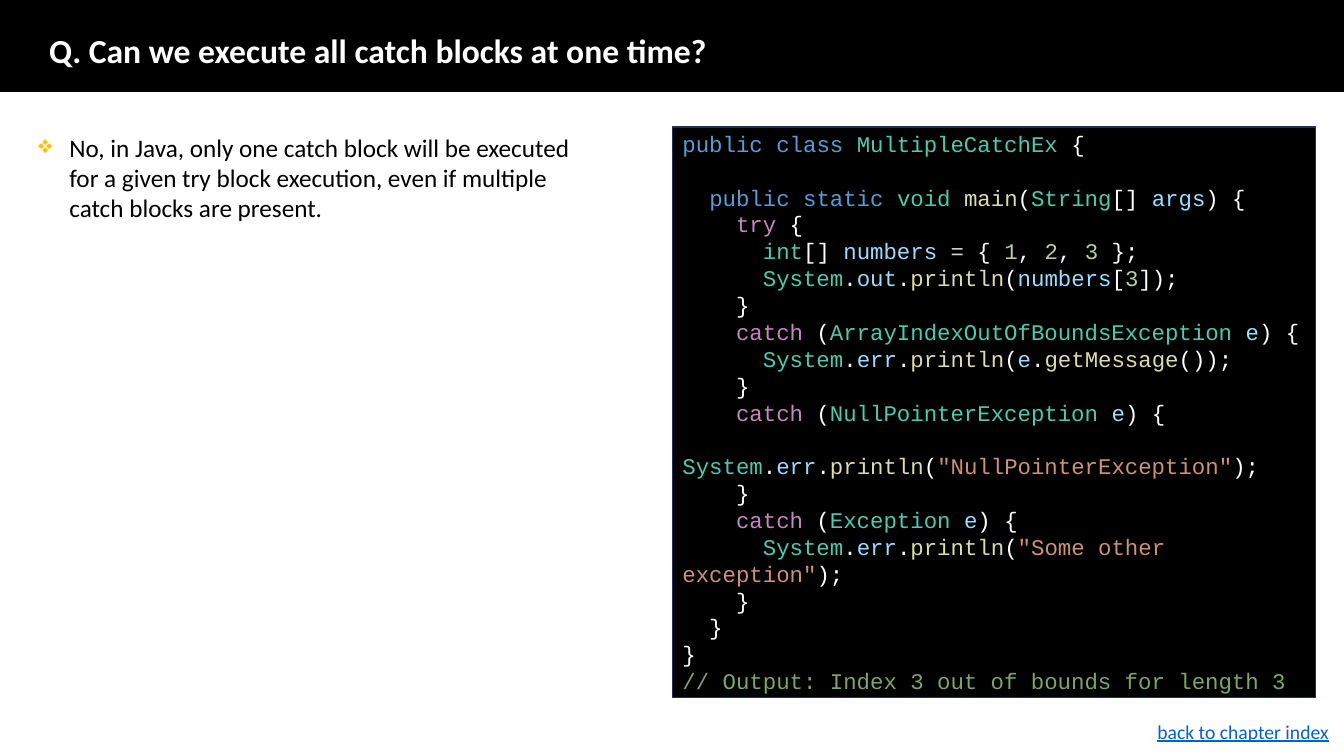
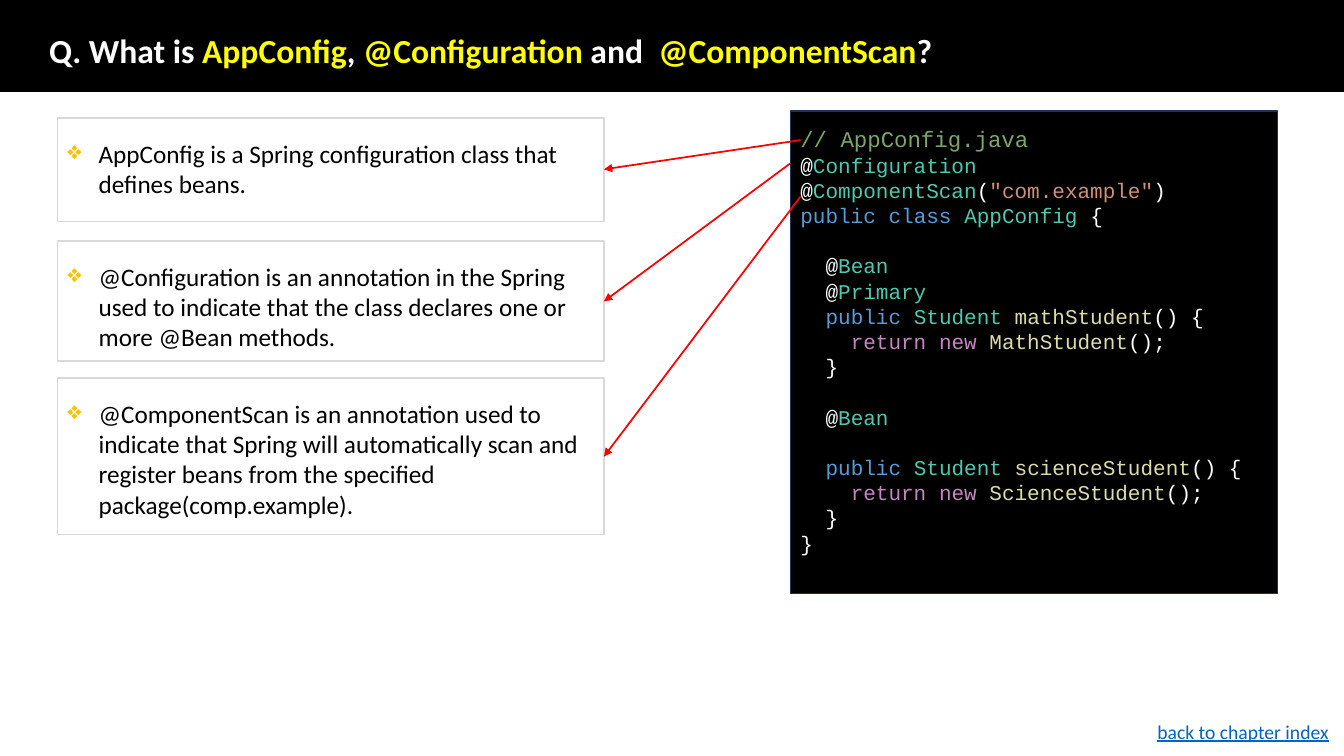
"""Build two Java question slides with notes and coloured code."""
from itertools import groupby

from lxml import etree
from pptx import Presentation
from pptx.dml.color import RGBColor
from pptx.enum.shapes import MSO_CONNECTOR, MSO_SHAPE
from pptx.enum.text import MSO_ANCHOR, PP_ALIGN
from pptx.oxml.ns import qn
from pptx.util import Inches, Pt

RECT = MSO_SHAPE.RECTANGLE
STRAIGHT = MSO_CONNECTOR.STRAIGHT
TOP, MIDDLE = MSO_ANCHOR.TOP, MSO_ANCHOR.MIDDLE
LEFT = PP_ALIGN.LEFT

COLORS = {
    "black": "000000", "white": "FFFFFF", "yellow": "FFFF00", "link": "0563C1",
    "bullet": "FFC000", "border": "D9D9D9", "code_border": "1E3256", "arrow": "FF0000",
    "modifier": "569CD6", "type": "4EC9B0", "control": "C586C0", "function": "DCDCAA",
    "variable": "9CDCFE", "number": "B5CEA8", "operator": "D4D4D4",
    "string": "CE9178", "comment": "7CA668",
}
WORDS = {
    "modifier": "public static class",
    "type": "MultipleCatchEx void String int System ArrayIndexOutOfBoundsException "
            "NullPointerException Exception Configuration ComponentScan AppConfig "
            "Bean Primary Student",
    "control": "try catch return new",
    "function": "main println getMessage mathStudent MathStudent scienceStudent "
                "ScienceStudent",
    "variable": "args numbers out err e",
    "number": "1 2 3",
    "operator": "=",
}
WORD_COLORS = {w: color for color, words in WORDS.items() for w in words.split()}

TITLE = {"name": "Calibri", "size": Pt(24), "bold": True}
BODY = {"name": "Calibri", "size": Pt(18)}
FOOTER = {"name": "Calibri", "size": Pt(14), "underline": True}

CATCH_CODE = """\
public class MultipleCatchEx {

  public static void main(String[] args) {
    try {
      int[] numbers = { 1, 2, 3 };
      System.out.println(numbers[3]);
    }
    catch (ArrayIndexOutOfBoundsException e) {
      System.err.println(e.getMessage());
    }
    catch (NullPointerException e) {
      System.err.println("NullPointerException");
    }
    catch (Exception e) {
      System.err.println("Some other exception");
    }
  }
}
// Output: Index 3 out of bounds for length 3"""

CONFIG_CODE = """\
// AppConfig.java
@Configuration
@ComponentScan("com.example")
public class AppConfig {

  @Bean
  @Primary
  public Student mathStudent() {
    return new MathStudent();
  }

  @Bean

  public Student scienceStudent() {
    return new ScienceStudent();
  }
}"""

SLIDES = [
    {
        "title": [("Q. Can we execute all catch blocks at one time?", "white")],
        "code": (CATCH_CODE, (6.67, 1.26, 6.38, 5.66), 0.03, 16),
        "notes": [
            ((0.28, 1.26, 5.67, 1.01), 0.05, None,
             "No, in Java, only one catch block will be executed for a given try block "
             "execution, even if multiple catch blocks are present."),
        ],
        "arrows": [],
    },
    {
        "title": [("Q. What is ", "white"), ("AppConfig", "yellow"), (", ", "white"),
                  ("@Configuration ", "yellow"), ("and", "white"),
                  ("  @ComponentScan", "yellow"), ("?", "white")],
        "code": (CONFIG_CODE, (7.84, 1.1, 4.83, 4.79), 0.16, 15),
        "notes": [
            ((0.57, 1.17, 5.42, 1.03), 0.2, "border",
             "AppConfig is a Spring configuration class that defines beans."),
            ((0.57, 2.39, 5.42, 1.19), 0.2, "border",
             "@Configuration is an annotation in the Spring used to indicate that the "
             "class declares one or more @Bean methods."),
            ((0.57, 3.75, 5.42, 1.55), 0.2, "border",
             "@ComponentScan is an annotation used to indicate that Spring will "
             "automatically scan and register beans from the specified "
             "package(comp.example)."),
        ],
        "arrows": [(7.94, 1.39, 5.99, 1.68), (7.84, 1.62, 5.99, 2.99),
                   (7.94, 1.95, 5.99, 4.53)],
    },
]


def add_box(s, at, fill=None, line=None, top=0.05, anchor=TOP):
    """Add a rectangle ready for left-aligned text."""
    sp = s.shapes.add_shape(RECT, *map(Inches, at))
    sp.shadow.inherit = False
    for part, color in ((sp.fill, fill), (sp.line.fill, line)):
        if color:
            part.solid()
            part.fore_color.rgb = RGBColor.from_string(COLORS[color])
        else:
            part.background()
    if line:
        sp.line.width = Pt(1)
    tf = sp.text_frame
    tf.word_wrap, tf.vertical_anchor, tf.margin_top = True, anchor, Inches(top)
    tf.paragraphs[0].alignment = LEFT
    return tf


def add_run(p, text, color, style):
    """Add a run with the given colour and font values."""
    r = p.add_run()
    r.text = text
    for name, value in style.items():
        setattr(r.font, name, value)
    r.font.color.rgb = RGBColor.from_string(COLORS[color])


prs = Presentation()
prs.slide_width, prs.slide_height = Inches(13.33), Inches(7.5)

for content in SLIDES:
    s = prs.slides.add_slide(prs.slide_layouts[6])
    add_box(s, (0, 0, 13.33, 0.91), "black", "black")
    p = add_box(s, (0.39, 0.35, 11.7, 0.35), anchor=MIDDLE).paragraphs[0]
    p.line_spacing = 0.9
    for text, color in content["title"]:
        add_run(p, text, color, TITLE)

    code, at, top, size = content["code"]
    tf = add_box(s, at, "black", "code_border", top)
    p, gap, line_height = tf.paragraphs[0], False, Pt(size * 1.2)
    for number, line in enumerate(code.split("\n")):
        if not line:
            gap = True
            continue
        if number:
            p = tf.add_paragraph()
        p.alignment, p.line_spacing = LEFT, line_height
        if gap:
            p.space_before, gap = line_height, False
        style = {"name": "Courier New", "size": Pt(size)}
        if line.startswith("//"):
            add_run(p, line, "comment", style | {"size": Pt(16)})
            continue
        for i, part in enumerate(line.split('"')):
            if i % 2:
                add_run(p, f'"{part}"', "string", style)
                continue
            for _, chars in groupby(part, lambda c: (c.isalnum(), c == "=")):
                token = "".join(chars)
                add_run(p, token, WORD_COLORS.get(token, "white"), style)

    for at, top, border, text in content["notes"]:
        p = add_box(s, at, line=border, top=top).paragraphs[0]
        pPr = p._p.get_or_add_pPr()
        pPr.set("marL", str(Inches(0.31)))
        pPr.set("indent", str(-Inches(0.31)))
        bu_color = etree.SubElement(pPr, qn("a:buClr"))
        etree.SubElement(bu_color, qn("a:srgbClr"), val=COLORS["bullet"])
        etree.SubElement(pPr, qn("a:buChar"), char="❖")
        add_run(p, text, "black", BODY)

    for ends in content["arrows"]:
        arrow = s.shapes.add_connector(STRAIGHT, *map(Inches, ends))
        arrow.line.color.rgb = RGBColor.from_string(COLORS["arrow"])
        arrow.line.width = Pt(1.25)
        etree.SubElement(arrow.line._get_or_add_ln(), qn("a:tailEnd"), type="triangle")
        etree.SubElement(arrow._element.spPr, qn("a:effectLst"))

    p = add_box(s, (11.38, 7.09, 1.95, 0.34)).paragraphs[0]
    add_run(p, "back to chapter index", "link", FOOTER)

prs.save("out.pptx")
